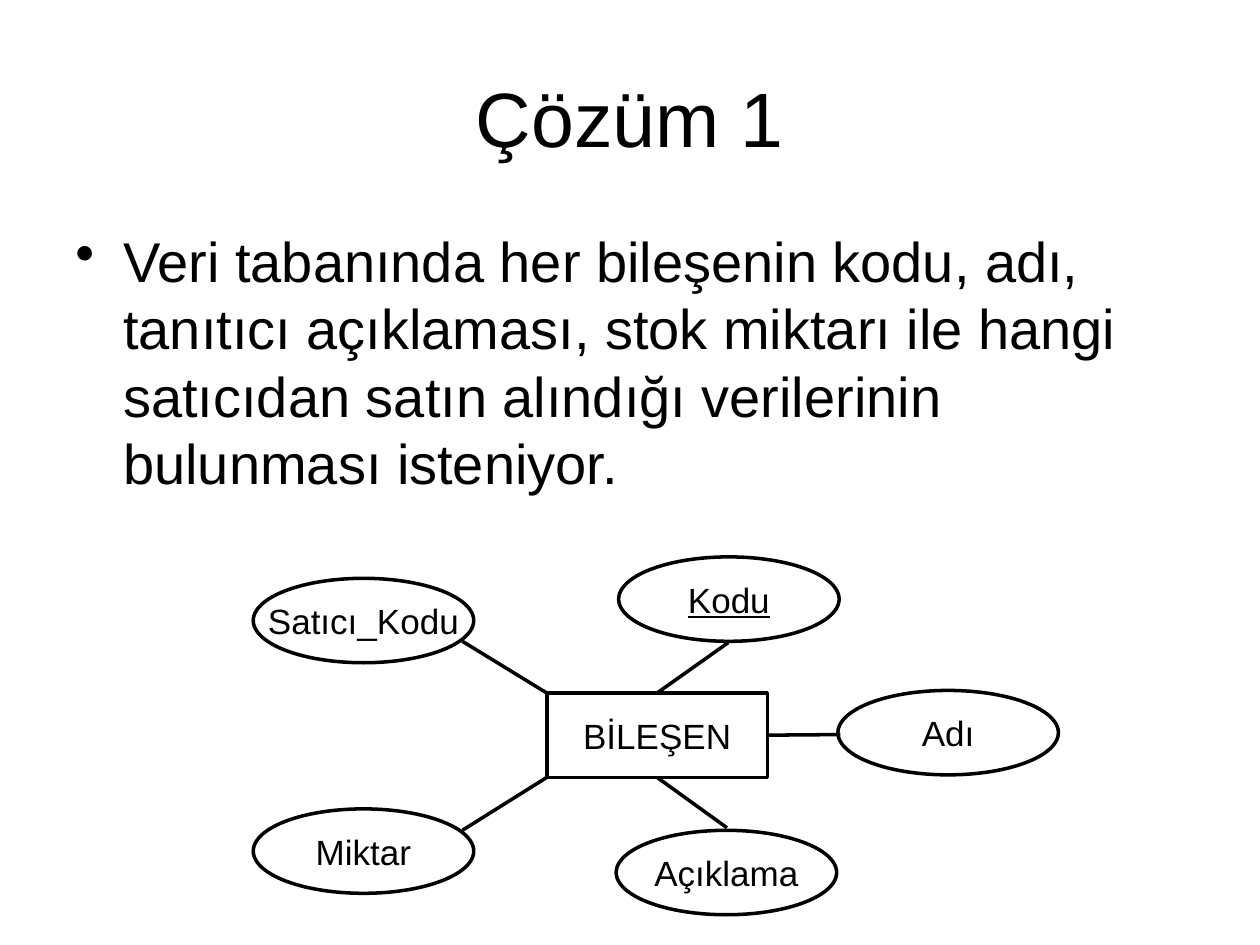
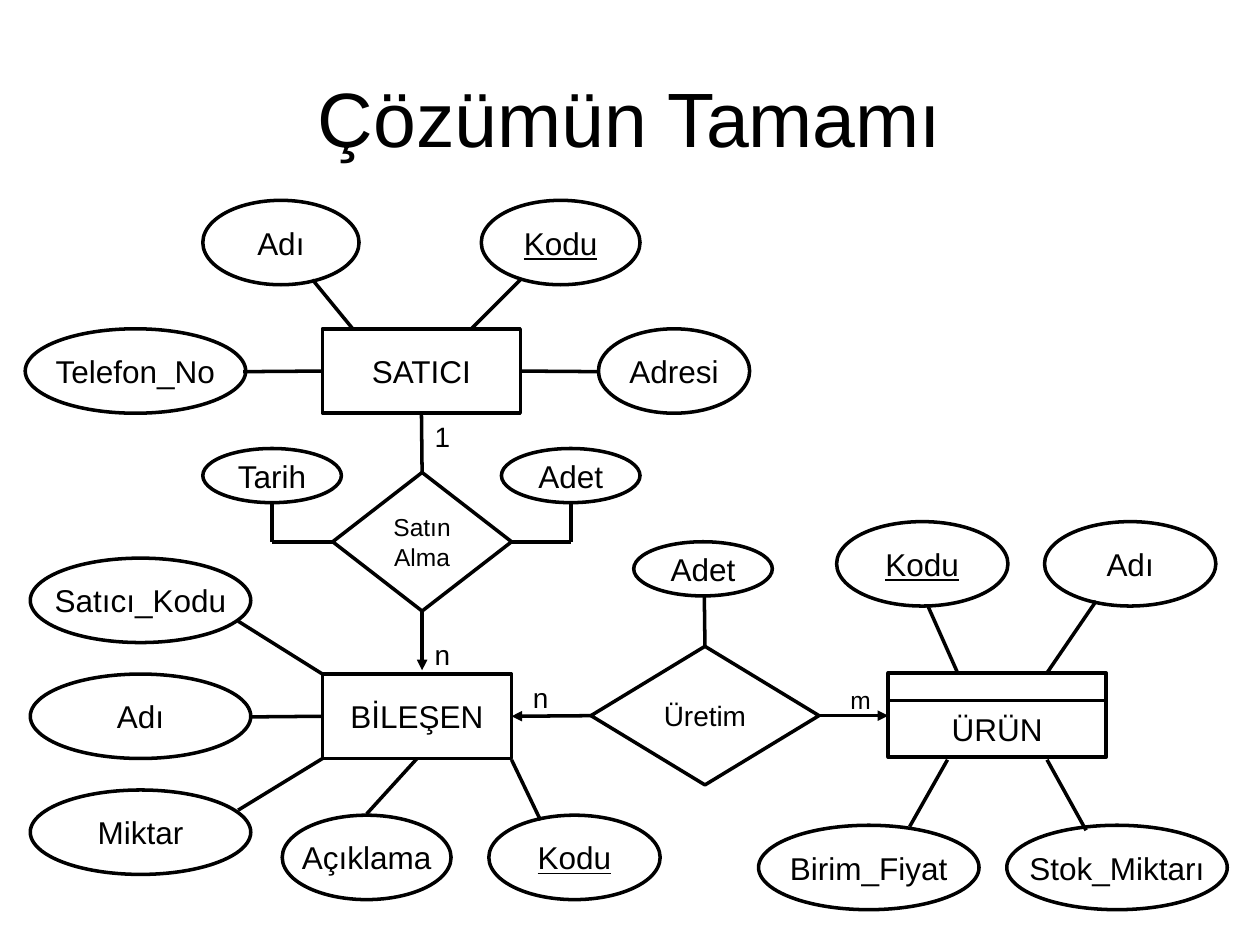
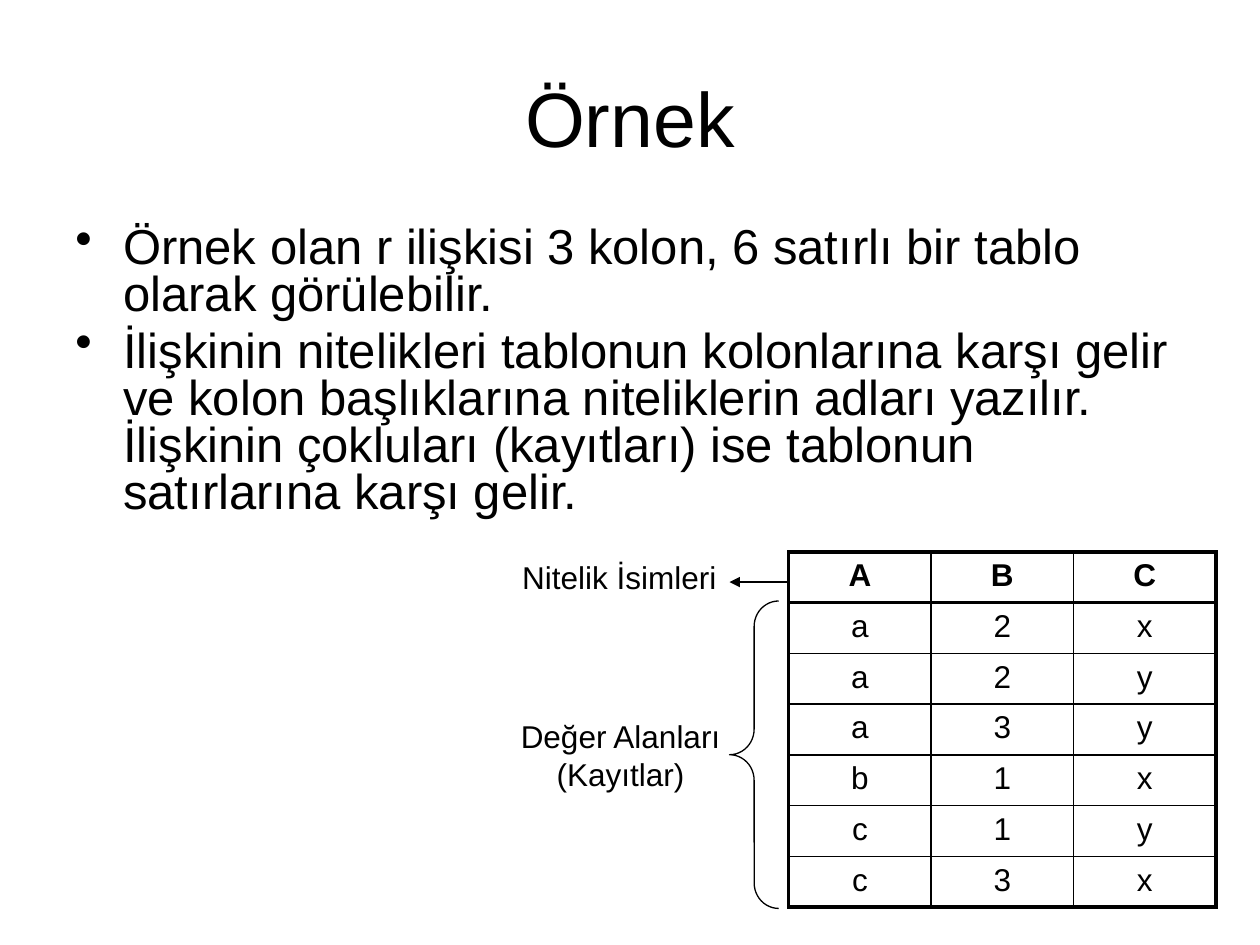
from lxml import etree
from pptx import Presentation
from pptx.dml.color import RGBColor
from pptx.enum.shapes import MSO_CONNECTOR, MSO_SHAPE
from pptx.enum.text import MSO_ANCHOR, PP_ALIGN
from pptx.oxml.ns import qn
from pptx.util import Inches, Pt

WIDTH, HEIGHT = 10, 7.5
FONT = "Arial"
COLORS = {"ink": "000000"}
INK = RGBColor.from_string(COLORS["ink"])

RECTANGLE, ELLIPSE = MSO_SHAPE.RECTANGLE, MSO_SHAPE.OVAL
DIAMOND, BRACE = MSO_SHAPE.DIAMOND, MSO_SHAPE.LEFT_BRACE
STRAIGHT = MSO_CONNECTOR.STRAIGHT
LEFT, CENTER = PP_ALIGN.LEFT, PP_ALIGN.CENTER
TOP_ANCHOR, MIDDLE = MSO_ANCHOR.TOP, MSO_ANCHOR.MIDDLE
TOP, WEST, BOTTOM, EAST = range(4)  # connection sites

NODE_HEIGHT = 0.67
ATTRIBUTE_WIDTH = 1.75
SMALL_OVAL = (1.1, 0.43)
DIAMOND_HEIGHT = 1.1
BAND_HEIGHT = 0.22


# Shared text and shape helpers
def inches(values):
    return [Inches(value) for value in values]


def style(paragraph, size, align=LEFT, bold=False, underline=False):
    paragraph.alignment = align
    font = paragraph.font
    font.name, font.size = FONT, Pt(size)
    font.bold, font.underline = bold, underline
    font.color.rgb = INK


def add_text(slide, box, text, size, align=LEFT, anchor=TOP_ANCHOR):
    text_frame = slide.shapes.add_textbox(*inches(box)).text_frame
    text_frame.word_wrap = True
    text_frame.vertical_anchor = anchor
    text_frame.text = text
    for paragraph in text_frame.paragraphs:
        style(paragraph, size, align)
    return text_frame


def add_outline(slide, preset, box, line_width=2):
    shape = slide.shapes.add_shape(preset, *inches(box))
    shape.shadow.inherit = False
    shape.fill.background()
    shape.line.color.rgb = INK
    shape.line.width = Pt(line_width)
    return shape


def add_node(slide, preset, box, text, size, underline=False, wrap=False):
    shape = add_outline(slide, preset, box)
    text_frame = shape.text_frame
    text_frame.word_wrap = wrap
    text_frame.vertical_anchor = MIDDLE
    text_frame.text = text
    style(text_frame.paragraphs[0], size, CENTER, underline=underline)
    return shape


def add_link(slide, start, end, arrow=False, line_width=2):
    """Each end is a point (x, y) or a pair (shape, connection site)."""
    connector = slide.shapes.add_connector(STRAIGHT, 0, 0, 0, 0)
    if isinstance(start[0], (int, float)):
        connector.begin_x, connector.begin_y = inches(start)
    else:
        connector.begin_connect(*start)
    if isinstance(end[0], (int, float)):
        connector.end_x, connector.end_y = inches(end)
    else:
        connector.end_connect(*end)
    connector.line.color.rgb = INK
    connector.line.width = Pt(line_width)
    properties = connector._element.spPr
    if arrow:
        line = properties.find(qn("a:ln"))
        etree.SubElement(line, qn("a:tailEnd"), type="triangle")
    etree.SubElement(properties, qn("a:effectLst"))


# Slide frame: title and bullets
def new_slide(presentation, title):
    slide = presentation.slides.add_slide(presentation.slide_layouts[6])
    box = (0.05 * WIDTH, 0.04 * HEIGHT, 0.9 * WIDTH, HEIGHT / 6)
    add_text(slide, box, title, 44, CENTER, MIDDLE)
    return slide


def add_bullets(slide, height, items, size, line_spacing=1.0):
    box = (0.05 * WIDTH, 1.75, 0.9 * WIDTH, height)
    text_frame = add_text(slide, box, "\n".join(items), size)
    for index, paragraph in enumerate(text_frame.paragraphs):
        properties = paragraph._p.get_or_add_pPr()
        properties.set("marL", str(Inches(0.38)))
        properties.set("indent", str(-Inches(0.38)))
        bullet = etree.Element(qn("a:buChar"), char="•")
        properties.insert(0, bullet)
        paragraph.line_spacing = line_spacing
        if index:
            paragraph.space_before = Pt(0.2 * size)


# Entity with its attributes, all offsets measured from the entity's corner
def add_entity(slide, name, box, attributes, size, keys=("Kodu",), band=0):
    left, top, width = box

    def place(offset):
        return left + offset[0], top + offset[1]

    if band:
        add_outline(slide, RECTANGLE, (left, top, width, band))
    entity = add_node(slide, RECTANGLE,
                      (left, top + band, width, NODE_HEIGHT - band), name, size)
    for label, offset, oval_width, start, end in attributes:
        add_node(slide, ELLIPSE, (*place(offset), oval_width, NODE_HEIGHT),
                 label, size, underline=label in keys)
        origin = (entity, start) if isinstance(start, int) else place(start)
        add_link(slide, origin, place(end))
    return entity


def add_relation(slide, name, box, size):
    return add_node(slide, DIAMOND, (*box, DIAMOND_HEIGHT), name, size, wrap=True)


def add_side_attribute(slide, label, left, top, relation, site):
    """Small oval above a diamond's side, joined by a right angle."""
    width, height = SMALL_OVAL
    add_node(slide, ELLIPSE, (left, top, width, height), label, 18)
    center = left + width / 2
    corner = (center, (relation.top + relation.height / 2) / Inches(1))
    add_link(slide, (center, top + height), corner)
    add_link(slide, corner, (relation, site))


# Slide 1: one entity
def build_component_slide(presentation):
    slide = new_slide(presentation, "Çözüm 1")
    add_bullets(slide, 2.47, [
        "Veri tabanında her bileşenin kodu, adı, tanıtıcı açıklaması, stok "
        "miktarı ile hangi satıcıdan satın alındığı verilerinin bulunması "
        "isteniyor."], 32)
    add_entity(slide, "BİLEŞEN", (4.34, 5.5, 1.75), [
        ("Miktar", (-2.33, 0.92), ATTRIBUTE_WIDTH, (0, 0.67), (-0.67, 1.09)),
        ("Adı", (2.31, -0.02), ATTRIBUTE_WIDTH, EAST, (2.33, 0.33)),
        ("Kodu", (0.57, -1.08), ATTRIBUTE_WIDTH, TOP, (1.44, -0.4)),
        ("Açıklama", (0.55, 1.09), ATTRIBUTE_WIDTH, BOTTOM, (1.43, 1.07)),
        ("Satıcı_Kodu", (-2.33, -0.91), ATTRIBUTE_WIDTH, (0, 0), (-0.67, -0.41)),
    ], 20)


# Slide 2: the whole diagram
def build_diagram_slide(presentation):
    slide = new_slide(presentation, "Çözümün Tamamı")
    add_entity(slide, "ÜRÜN", (7.05, 5.34, 1.73), [
        ("Stok_Miktarı", (0.94, 1.21), ATTRIBUTE_WIDTH, (1.26, 0.69), (1.57, 1.25)),
        ("Birim_Fiyat", (-1.03, 1.21), ATTRIBUTE_WIDTH, (0.47, 0.69), (0.17, 1.22)),
        ("Kodu", (-0.41, -1.2), 1.36, (0.55, 0), (0.31, -0.54)),
        ("Adı", (1.24, -1.2), 1.36, (1.26, 0), (1.65, -0.57)),
    ], 18, band=BAND_HEIGHT)
    component = add_entity(slide, "BİLEŞEN", (2.56, 5.35, 1.5), [
        ("Miktar", (-2.32, 0.92), ATTRIBUTE_WIDTH, (0, 0.67), (-0.67, 1.08)),
        ("Adı", (-2.32, 0), ATTRIBUTE_WIDTH, WEST, (-0.58, 0.34)),
        ("Satıcı_Kodu", (-2.32, -0.92), ATTRIBUTE_WIDTH, (0, 0), (-0.67, -0.42)),
        ("Açıklama", (-0.32, 1.12), 1.34, BOTTOM, (0.35, 1.11)),
        ("Kodu", (1.32, 1.12), 1.36, (1.5, 0.68), (1.73, 1.16)),
    ], 18)
    seller = add_entity(slide, "SATICI", (2.56, 2.61, 1.57), [
        ("Telefon_No", (-2.36, 0), ATTRIBUTE_WIDTH, WEST, (-0.63, 0.34)),
        ("Adresi", (2.19, 0), 1.2, EAST, (2.2, 0.34)),
        ("Adı", (-0.95, -1.02), 1.24, (0.24, 0), (-0.08, -0.39)),
        ("Kodu", (1.26, -1.02), 1.26, (1.18, 0), (1.57, -0.39)),
    ], 18)

    # Purchase relation
    purchase = add_relation(slide, "Satın Alma", (2.64, 3.75, 1.42), 14)
    add_link(slide, (purchase, TOP), (seller, BOTTOM))
    add_link(slide, (purchase, BOTTOM), (3.35, 5.32), arrow=True)
    add_side_attribute(slide, "Tarih", 1.61, 3.56, purchase, WEST)
    add_side_attribute(slide, "Adet", 3.98, 3.56, purchase, EAST)

    # Production relation
    production = add_relation(slide, "Üretim", (4.69, 5.13, 1.81), 16)
    add_link(slide, (production, EAST), (7.05, 5.68), arrow=True)
    add_link(slide, (production, WEST), (component, EAST), arrow=True)
    add_node(slide, ELLIPSE, (5.03, 4.3, *SMALL_OVAL), "Adet", 18)
    add_link(slide, (5.59, 4.73), (production, TOP))

    # Cardinalities
    for text, left, top, size in [("1", 3.35, 3.28, 16), ("n", 3.35, 5.01, 16),
                                  ("n", 4.13, 5.35, 16), ("m", 6.65, 5.39, 14)]:
        add_text(slide, (left, top, 0.31, 0.37), text, size)


# Slide 3: the relation as a table
def set_borders(cell, widths):
    properties = cell._tc.get_or_add_tcPr()
    for side, width in widths.items():
        line = etree.SubElement(properties, qn(f"a:ln{side}"), w=str(Pt(width)))
        fill = etree.SubElement(line, qn("a:solidFill"))
        etree.SubElement(fill, qn("a:srgbClr"), val=COLORS["ink"])


def add_relation_table(slide, box, rows, thick=2.25, thin=1):
    last_row, last_column = len(rows) - 1, len(rows[0]) - 1
    table = slide.shapes.add_table(len(rows), len(rows[0]), *inches(box)).table
    table.first_row = table.horz_banding = False
    for row, values in enumerate(rows):
        for column, value in enumerate(values):
            cell = table.cell(row, column)
            cell.text = value
            style(cell.text_frame.paragraphs[0], 18, CENTER, bold=row == 0)
            set_borders(cell, {
                "L": thick if column == 0 else thin,
                "R": thick if column == last_column else thin,
                "T": thick if row <= 1 else thin,
                "B": thick if row in (0, last_row) else thin,
            })
            cell.fill.background()


def build_example_slide(presentation):
    slide = new_slide(presentation, "Örnek")
    add_bullets(slide, 2.55, [
        "Örnek olan r ilişkisi 3 kolon, 6 satırlı bir tablo olarak görülebilir.",
        "İlişkinin nitelikleri tablonun kolonlarına karşı gelir ve kolon "
        "başlıklarına niteliklerin adları yazılır. İlişkinin çokluları "
        "(kayıtları) ise tablonun satırlarına karşı gelir.",
    ], 28, line_spacing=0.8)
    add_relation_table(slide, (6.26, 4.38, 3.39, 2.82),
                       ["ABC", "a2x", "a2y", "a3y", "b1x", "c1y", "c3x"])
    brace = add_outline(slide, BRACE, (5.79, 4.77, 0.39, 2.44), 0.75)
    brace.adjustments[0] = 0.52
    add_link(slide, (6.26, 4.62), (5.79, 4.62), arrow=True, line_width=0.75)
    add_text(slide, (3.97, 4.38, 1.89, 0.4), "Nitelik İsimleri", 18, CENTER)
    add_text(slide, (3.98, 5.64, 1.89, 0.7), "Değer Alanları (Kayıtlar)", 18, CENTER)


def main():
    presentation = Presentation()
    presentation.slide_width, presentation.slide_height = inches((WIDTH, HEIGHT))
    build_component_slide(presentation)
    build_diagram_slide(presentation)
    build_example_slide(presentation)
    presentation.save("out.pptx")


if __name__ == "__main__":
    main()
